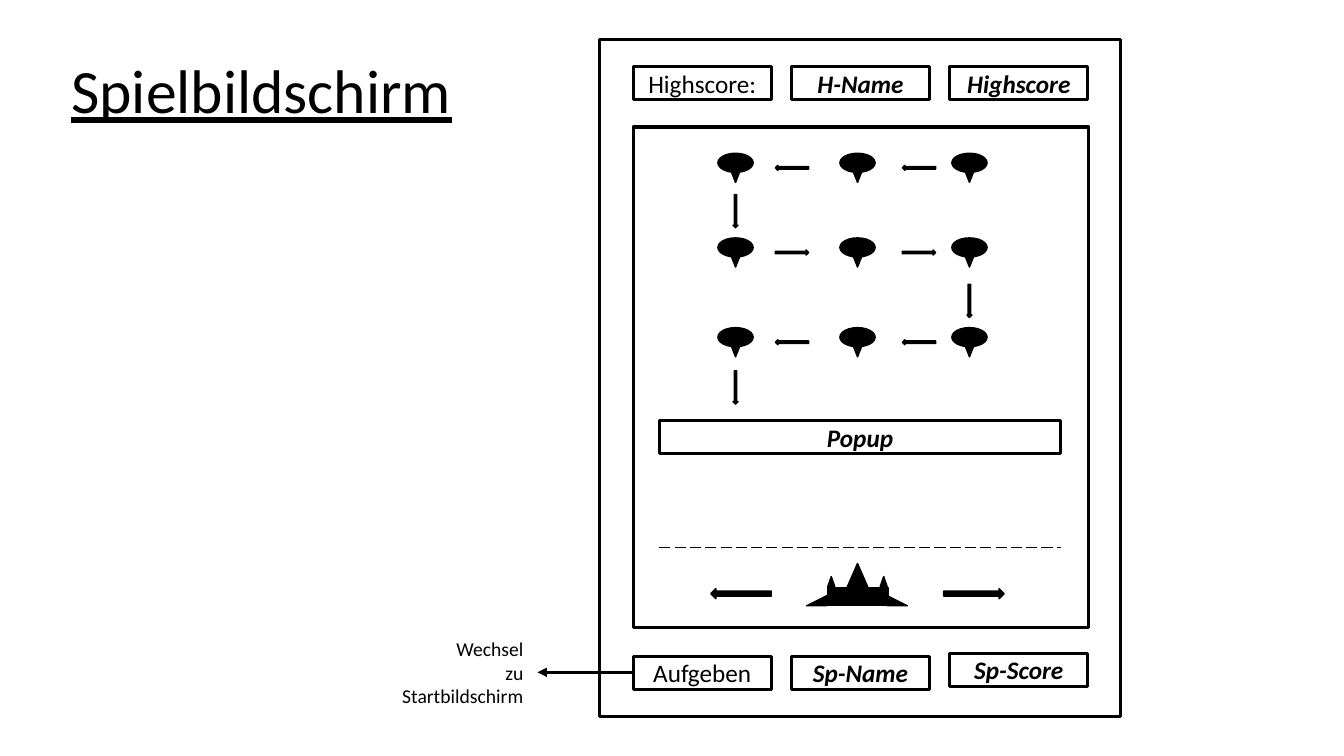
from pptx import Presentation
from pptx.dml.color import RGBColor
from pptx.enum.dml import MSO_LINE
from pptx.enum.shapes import MSO_CONNECTOR, MSO_SHAPE
from pptx.enum.text import MSO_ANCHOR, MSO_AUTO_SIZE, PP_ALIGN
from pptx.oxml.ns import qn
from pptx.util import Inches, Pt
from lxml.etree import SubElement

BLACK, WHITE = "000000", "FFFFFF"
FONT = "Calibri"
VALUE = {"bold": True, "italic": True}
COLUMNS = (6.28, 7.85, 9.42)
ALIEN_COLUMNS = (7.12, 8.33, 9.44)
ALIEN_ROWS = (1.52, 2.36, 3.25)
ARROW_COLUMNS = (7.69, 8.95)


def color(value):
    return RGBColor.from_string(value)


def write(sp, lines, size, align, anchor, **formats):
    tf = sp.text_frame
    tf.vertical_anchor = anchor
    for i, line in enumerate(lines):
        p = tf.paragraphs[0] if i == 0 else tf.add_paragraph()
        p.alignment = align
        r = p.add_run()
        r.text = line
        r.font.color.rgb = color(BLACK)
        for name, value in {"name": FONT, "size": Pt(size), **formats}.items():
            setattr(r.font, name, value)
    return tf


def add_preset(shapes, kind, x, y, w, h, fill=BLACK, width=1):
    sp = shapes.add_shape(kind, Inches(x), Inches(y), Inches(w), Inches(h))
    sp.shadow.inherit = False
    sp.fill.solid()
    sp.fill.fore_color.rgb = color(fill)
    sp.line.color.rgb = color(BLACK)
    sp.line.width = Pt(width)
    return sp


def add_box(s, x, y, w, h, text=None, **formats):
    sp = add_preset(s.shapes, MSO_SHAPE.RECTANGLE, x, y, w, h, WHITE, 2.25)
    if text:
        write(sp, [text], 18, PP_ALIGN.CENTER, MSO_ANCHOR.MIDDLE, **formats)


def add_label(s, x, y, w, h, lines, size, align, anchor, **formats):
    sp = s.shapes.add_textbox(Inches(x), Inches(y), Inches(w), Inches(h))
    return write(sp, lines, size, align, anchor, **formats)


def add_line(s, x1, x2, y, width):
    c = s.shapes.add_connector(MSO_CONNECTOR.STRAIGHT, Inches(x1), Inches(y), Inches(x2), Inches(y))
    c.line.color.rgb = color(BLACK)
    c.line.width = Pt(width)
    SubElement(c._element.spPr, qn("a:effectLst"))
    return c


def add_alien(s, x, y):
    shapes = s.shapes.add_group_shape().shapes
    add_preset(shapes, MSO_SHAPE.OVAL, x, y, 0.35, 0.19)
    tip = add_preset(shapes, MSO_SHAPE.ISOSCELES_TRIANGLE, x + 0.1, y + 0.1, 0.15, 0.19)
    tip.rotation = 180


def add_ship(s):
    shapes = s.shapes.add_group_shape().shapes
    add_preset(shapes, MSO_SHAPE.RECTANGLE, 8.21, 5.83, 0.6, 0.18)
    for x, y, w, h, apex in (
        (8.33, 5.59, 0.35, 0.4, 0.5),
        (8.21, 5.72, 0.07, 0.1, 0.5),
        (8.73, 5.72, 0.07, 0.1, 0.5),
        (8, 5.91, 0.2, 0.1, 1),
        (8.8, 5.91, 0.2, 0.1, 0),
    ):
        part = add_preset(shapes, MSO_SHAPE.ISOSCELES_TRIANGLE, x, y, w, h)
        part.adjustments[0] = apex


def add_aliens(s):
    for row, y in enumerate(ALIEN_ROWS):
        for x in ALIEN_COLUMNS:
            add_alien(s, x, y)
        kind = MSO_SHAPE.RIGHT_ARROW if row == 1 else MSO_SHAPE.LEFT_ARROW
        for x in ARROW_COLUMNS:
            add_preset(s.shapes, kind, x, y + 0.12, 0.33, 0.05)
    for x, y in ((7.27, 1.93), (9.59, 2.82), (7.27, 3.68)):
        add_preset(s.shapes, MSO_SHAPE.DOWN_ARROW, x, y, 0.05, 0.33)


def main():
    prs = Presentation()
    prs.slide_width, prs.slide_height = Inches(13.33), Inches(7.5)
    s = prs.slides.add_slide(prs.slide_layouts[6])

    title = add_label(s, 0.61, 0.53, 3.97, 0.8, ["Spielbildschirm"], 44,
                      PP_ALIGN.LEFT, MSO_ANCHOR.MIDDLE, underline=True)
    title.word_wrap = True
    title.paragraphs[0].line_spacing = 0.9

    add_box(s, 5.95, 0.39, 5.16, 6.72)
    add_box(s, 6.28, 1.26, 4.52, 4.97)
    header = (("Highscore:", 0.66, {}), ("H-Name", 0.66, VALUE), ("Highscore", 0.66, VALUE))
    footer = (("Aufgeben", 6.51, {}), ("Sp-Name", 6.51, VALUE), ("Sp-Score", 6.48, VALUE))
    for fields in (header, footer):
        for x, (text, y, formats) in zip(COLUMNS, fields):
            add_box(s, x, y, 1.37, 0.33, text, **formats)

    add_aliens(s)
    add_box(s, 6.54, 4.17, 3.98, 0.33, "Popup", **VALUE)
    add_line(s, 6.54, 10.52, 5.43, 1).line.dash_style = MSO_LINE.LONG_DASH
    add_ship(s)
    for kind, x in ((MSO_SHAPE.LEFT_ARROW, 7.05), (MSO_SHAPE.RIGHT_ARROW, 9.36)):
        add_preset(s.shapes, kind, x, 5.84, 0.6, 0.1)

    exit_arrow = add_line(s, 6.28, 5.33, 6.67, 2.25)
    SubElement(exit_arrow.line._get_or_add_ln(), qn("a:tailEnd"), type="triangle")
    note = add_label(s, 3.87, 6.27, 1.42, 0.81, ["Wechsel", "zu", "Startbildschirm"], 14,
                     PP_ALIGN.RIGHT, MSO_ANCHOR.TOP)
    note.word_wrap = False
    note.auto_size = MSO_AUTO_SIZE.SHAPE_TO_FIT_TEXT

    prs.save("out.pptx")


if __name__ == "__main__":
    main()
